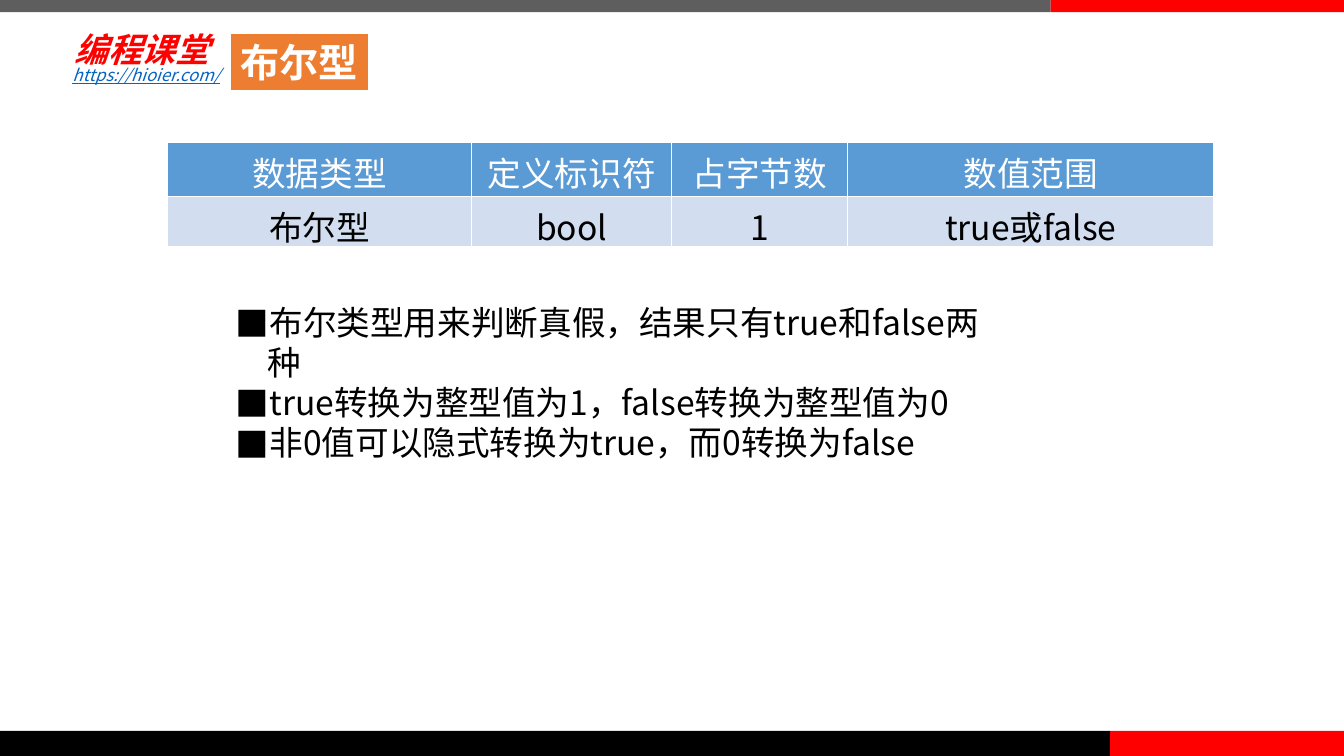
from dataclasses import dataclass

from lxml.etree import SubElement
from pptx import Presentation
from pptx.dml.color import RGBColor as RGB
from pptx.enum.shapes import MSO_SHAPE as Shape
from pptx.enum.text import MSO_ANCHOR as Anchor, MSO_AUTO_SIZE as Fit, PP_ALIGN as Align
from pptx.oxml.ns import qn
from pptx.util import Inches, Pt

# Content
TITLE = "布尔型"
SCHOOL = "编程课堂"
SITE = "https://hioier.com/"
TYPE_ROWS = [
    ("数据类型", "定义标识符", "占字节数", "数值范围"),
    ("布尔型", "bool", "1", "true或false"),
]
NOTES = [
    "布尔类型用来判断真假，结果只有true和false两种",
    "true转换为整型值为1，false转换为整型值为0",
    "非0值可以隐式转换为true，而0转换为false",
]


@dataclass(frozen=True)
class Theme:
    font: str = "Noto Sans CJK SC"
    school_font: str = "Lato"
    red: str = "FF0000"
    grey: str = "5E5E5E"
    black: str = "000000"
    white: str = "FFFFFF"
    orange: str = "ED7D31"
    link: str = "0563C1"
    header: str = "5B9BD5"
    row: str = "D2DEEF"
    title_size: int = 28
    text_size: int = 24
    site_size: int = 12


THEME = Theme()

# Layout, in inches
WIDTH, HEIGHT = 13.33, 7.5
TOP_BAR, BOTTOM_BAR = 0.12, 0.25
TOP_SPLIT, BOTTOM_SPLIT = 10.42, 11.01
BARS = [  # left, top, width, height, colour
    (0, 0, TOP_SPLIT, TOP_BAR, THEME.grey),
    (TOP_SPLIT, 0, WIDTH - TOP_SPLIT, TOP_BAR, THEME.red),
    (0, HEIGHT - BOTTOM_BAR, BOTTOM_SPLIT, BOTTOM_BAR, THEME.black),
    (BOTTOM_SPLIT, HEIGHT - BOTTOM_BAR, WIDTH - BOTTOM_SPLIT, BOTTOM_BAR, THEME.red),
]
TABLE_LEFT, TABLE_TOP = 1.66, 1.41
COLUMNS, ROWS = (3.02, 1.98, 1.75, 3.63), (0.54, 0.48)
INDENT = 0.31


def box(left, top, width, height):
    return [Inches(v) for v in (left, top, width, height)]


def fill(part, colour):
    part.fill.solid()
    part.fill.fore_color.rgb = RGB.from_string(colour)


def style(paragraph, size, colour, font=THEME.font, bold=False, italic=False):
    face = paragraph.font
    face.name, face.size, face.bold, face.italic = font, Pt(size), bold, italic
    face.color.rgb = RGB.from_string(colour)
    for run in paragraph.runs:
        SubElement(run._r.get_or_add_rPr(), qn("a:ea"), typeface=THEME.font)


def place(placeholder, left, top, width, height):
    placeholder.left, placeholder.top, placeholder.width, placeholder.height = box(
        left, top, width, height)
    placeholder.text_frame.auto_size = Fit.NONE


def square_bullet(paragraph):
    props = paragraph._p.get_or_add_pPr()
    props.set("marL", str(Inches(INDENT)))
    props.set("indent", str(-Inches(INDENT)))
    SubElement(props, qn("a:buFont"), typeface=THEME.font)
    SubElement(props, qn("a:buChar"), char="■")


def white_borders(cell, bottom):
    props = cell._tc.get_or_add_tcPr()
    for index, (side, points) in enumerate(
            [("lnL", 1), ("lnR", 1), ("lnT", 1), ("lnB", bottom)]):
        line = props.makeelement(qn(f"a:{side}"), {"w": str(Pt(points))})
        paint = SubElement(line, qn("a:solidFill"))
        SubElement(paint, qn("a:srgbClr"), val=THEME.white)
        props.insert(index, line)


def add_bars(slide):
    for *area, colour in BARS:
        bar = slide.shapes.add_shape(Shape.RECTANGLE, *box(*area))
        bar.shadow.inherit = False
        bar.line.fill.background()
        fill(bar, colour)


def add_school(slide):
    school = slide.shapes.add_textbox(*box(0.68, 0.23, 1.85, 0.52)).text_frame
    school.margin_left = school.margin_right = Inches(0.06)
    school.margin_top = school.margin_bottom = Inches(0.06)
    school.vertical_anchor = Anchor.MIDDLE
    school.word_wrap = True
    school.text = SCHOOL
    style(school.paragraphs[0], THEME.text_size, THEME.red, THEME.school_font, True, True)

    site = slide.shapes.add_textbox(*box(0.62, 0.59, 6.67, 0.3)).text_frame
    site.word_wrap = True
    site.text = SITE
    style(site.paragraphs[0], THEME.site_size, THEME.link, italic=True)
    site.paragraphs[0].font.underline = True


def add_type_table(slide):
    table = slide.shapes.add_table(
        len(ROWS), len(COLUMNS),
        *box(TABLE_LEFT, TABLE_TOP, sum(COLUMNS), sum(ROWS))).table
    for column, width in zip(table.columns, COLUMNS):
        column.width = Inches(width)
    for r, values in enumerate(TYPE_ROWS):
        table.rows[r].height = Inches(ROWS[r])
        for c, value in enumerate(values):
            cell = table.cell(r, c)
            cell.text = value
            fill(cell, THEME.row if r else THEME.header)
            white_borders(cell, 1)
            paragraph = cell.text_frame.paragraphs[0]
            paragraph.alignment = Align.CENTER
            style(paragraph, THEME.text_size, THEME.black if r else THEME.white)


def fill_notes(body):
    place(body, 2.24, 2.94, 7.81, 1.62)
    frame = body.text_frame
    frame.text = "\n".join(NOTES)
    for paragraph in frame.paragraphs:
        paragraph.space_before = Pt(0)
        square_bullet(paragraph)
        style(paragraph, THEME.text_size, THEME.black)


def fill_title(title):
    place(title, 2.28, 0.33, 1.38, 0.57)
    fill(title, THEME.orange)
    title.line.color.rgb = RGB.from_string(THEME.white)
    title.line.width = Pt(1.5)
    frame = title.text_frame
    frame.text = TITLE
    frame.word_wrap = False
    frame.vertical_anchor = Anchor.MIDDLE
    frame.paragraphs[0].alignment = Align.CENTER
    style(frame.paragraphs[0], THEME.title_size, THEME.white, bold=True)


def main():
    deck = Presentation()
    deck.slide_width, deck.slide_height = Inches(WIDTH), Inches(HEIGHT)
    slide = deck.slides.add_slide(deck.slide_layouts[1])
    add_bars(slide)
    add_school(slide)
    add_type_table(slide)
    fill_notes(slide.placeholders[1])
    fill_title(slide.shapes.title)
    deck.save("out.pptx")


if __name__ == "__main__":
    main()
